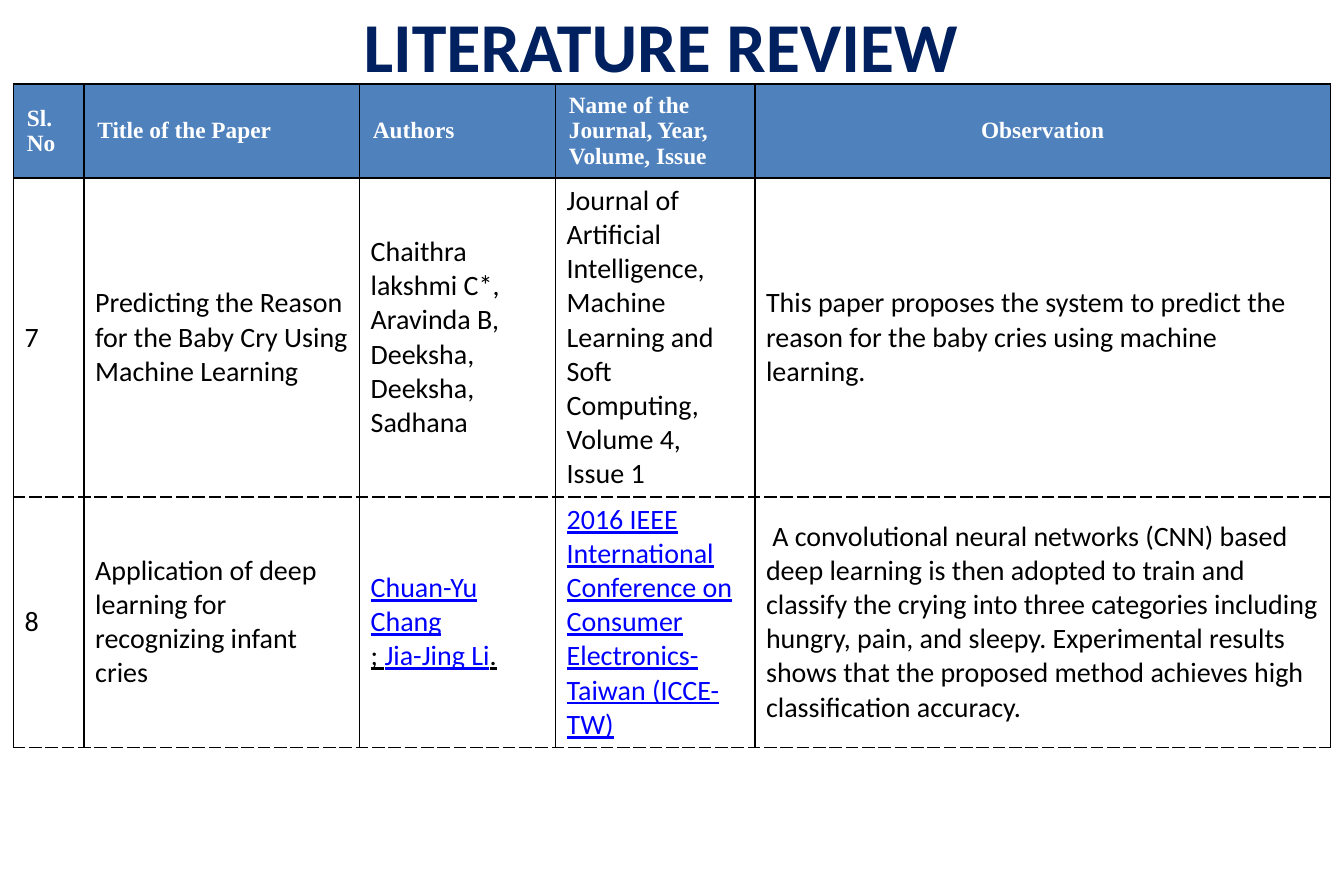
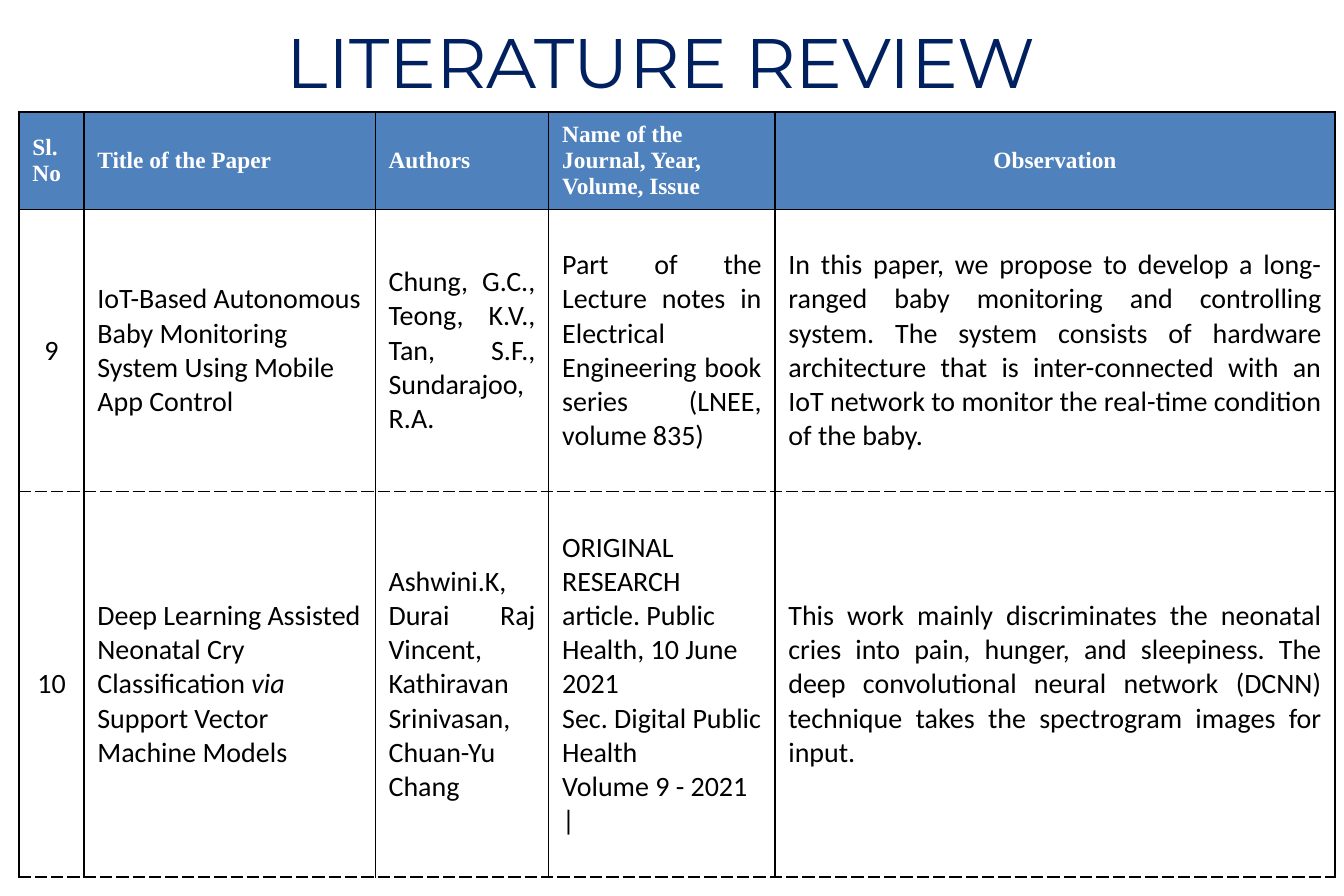
from lxml.etree import SubElement
from pptx import Presentation
from pptx.dml.color import RGBColor
from pptx.enum.text import MSO_ANCHOR, MSO_AUTO_SIZE, PP_ALIGN
from pptx.oxml import parse_xml
from pptx.oxml.ns import nsdecls, qn
from pptx.util import Inches, Pt

NAVY, BLUE, LINK, BLACK, WHITE = "002060", "4F81BD", "0000FF", "000000", "FFFFFF"
ALIGN = {"l": PP_ALIGN.LEFT, "c": PP_ALIGN.CENTER, "j": PP_ALIGN.JUSTIFY}
HEADER = ["Sl. No", "Title of the Paper", "Authors",
          "Name of the Journal, Year, Volume, Issue", "Observation"]
HEAD_FONT = {"name": "Times New Roman", "size": Pt(15), "bold": True, "color": WHITE}
BODY_FONT = {"name": "Calibri", "size": Pt(18), "bold": False, "color": BLACK}
LINKED = {"color": LINK, "underline": True}
UNDERLINED = {"underline": True}


def rgb(value):
    """Turn a hex string into a colour."""
    return RGBColor.from_string(value)


class Deck:
    """Holds the shared style and the current slide."""

    def __init__(self):
        """Start an empty presentation."""
        self.prs = Presentation()
        self.prs.slide_width, self.prs.slide_height = Inches(12), Inches(8)
        self.s = None

    def frame(self, tf, inset_x, inset_y):
        """Set insets and middle anchoring of a text holder."""
        values = {"margin_left": Inches(inset_x), "margin_right": Inches(inset_x),
                  "margin_top": Inches(inset_y), "margin_bottom": Inches(inset_y),
                  "vertical_anchor": MSO_ANCHOR.MIDDLE}
        for name, value in values.items():
            setattr(tf, name, value)

    def run(self, p, text, fmt):
        """Add formatted text, with a line break at each newline."""
        for i, line in enumerate(text.split("\n")):
            if i:
                p.add_line_break()
            r = p.add_run()
            r.text = line
            for name, value in fmt.items():
                if name == "color":
                    r.font.color.rgb = rgb(value)
                else:
                    setattr(r.font, name, value)

    def slide(self, title, top, font):
        """Add a slide with its title."""
        self.s = self.prs.slides.add_slide(self.prs.slide_layouts[5])
        sp = self.s.shapes.title
        sp.left, sp.top = Inches(0.5), Inches(top)
        sp.width, sp.height = Inches(10.8), Inches(1.46)
        tf = sp.text_frame
        tf.auto_size, tf.word_wrap = MSO_AUTO_SIZE.NONE, True
        self.frame(tf, 0.11, 0.06)
        p = tf.paragraphs[0]
        p.alignment = PP_ALIGN.CENTER
        self.run(p, title, {"size": Pt(45), "color": NAVY, **font})

    def borders(self, cell, dashes):
        """Draw the four cell borders, dashed on the named sides."""
        tcPr = cell._tc.get_or_add_tcPr()
        for i, side in enumerate("LRTB"):
            ln = parse_xml(f'<a:ln{side} {nsdecls("a")} w="12700"/>')
            fill = SubElement(ln, qn("a:solidFill"))
            SubElement(fill, qn("a:srgbClr")).set("val", BLACK)
            dash = "sysDash" if side in dashes else "solid"
            SubElement(ln, qn("a:prstDash")).set("val", dash)
            tcPr.insert(i, ln)

    def cell(self, cell, content, align, font, fill, inset, dashes):
        """Fill one cell with text or with paragraphs of runs."""
        cell.fill.solid()
        cell.fill.fore_color.rgb = rgb(fill)
        self.borders(cell, dashes)
        self.frame(cell, *inset)
        tf = cell.text_frame
        paragraphs = [[(content, {})]] if isinstance(content, str) else content
        for i, runs in enumerate(paragraphs):
            p = tf.add_paragraph() if i else tf.paragraphs[0]
            p.alignment = ALIGN[align]
            for text, fmt in runs:
                self.run(p, text, {**font, **fmt})

    def table(self, left, top, widths, heights, papers, aligns, inset):
        """Add a review table with its header row."""
        tbl = self.s.shapes.add_table(
            len(heights), len(widths), Inches(left), Inches(top),
            Inches(sum(widths)), Inches(sum(heights))).table
        tbl.horz_banding = False
        for col, width in zip(tbl.columns, widths):
            col.width = Inches(width)
        for row, height in zip(tbl.rows, heights):
            row.height = Inches(height)
        for i, content in enumerate(HEADER):
            self.cell(tbl.cell(0, i), content, "llllc"[i], HEAD_FONT, BLUE, (0.12, 0.07), "")
        for n, (paper, align) in enumerate(zip(papers, aligns), 1):
            for i, content in enumerate(paper):
                self.cell(tbl.cell(n, i), content, align[i], BODY_FONT, WHITE, inset,
                          "B" if n == 1 else "TB")


def main():
    """Build both review slides."""
    deck = Deck()
    deck.slide("LITERATURE REVIEW", -0.33, {"name": "Calibri", "bold": True})
    deck.table(0.12, 0.75, [0.63, 2.46, 1.75, 1.78, 5.14], [0.84, 2.84, 2.2], [
        ["7", "Predicting the Reason for the Baby Cry Using Machine Learning",
         "Chaithra lakshmi C*, Aravinda B, Deeksha, Deeksha, Sadhana",
         "Journal of Artificial Intelligence, Machine Learning and Soft Computing, "
         "Volume 4, Issue 1",
         "This paper proposes the system to predict the reason for the baby cries "
         "using machine learning."],
        ["8", "Application of deep learning for recognizing infant cries",
         [[("Chuan-Yu Chang", LINKED)],
          [("; ", UNDERLINED), ("Jia-Jing Li", LINKED), (".", UNDERLINED)]],
         [[("2016 IEEE International Conference on Consumer Electronics-Taiwan (ICCE-TW)",
            LINKED)]],
         " A convolutional neural networks (CNN) based deep learning is then adopted to "
         "train and classify the crying into three categories including hungry, pain, and "
         "sleepy. Experimental results shows that the proposed method achieves high "
         "classification accuracy."],
    ], ["lllll", "lllll"], (0.1, 0.05))

    deck.slide("LITERATURE REVIEW", -0.19, {"name": "Montserrat", "bold": False})
    deck.table(0.17, 1, [0.58, 2.6, 1.55, 2.02, 5], [0.87, 2.52, 3.44], [
        ["9", "IoT-Based Autonomous Baby Monitoring System Using Mobile App Control",
         "Chung, G.C., Teong, K.V., Tan, S.F., Sundarajoo, R.A. ",
         "Part of the Lecture notes in Electrical Engineering book series "
         "(LNEE, volume 835)",
         "In this paper, we propose to develop a long-ranged baby monitoring and "
         "controlling system. The system consists of hardware architecture that is "
         "inter-connected with an IoT network to monitor the real-time condition of "
         "the baby."],
        ["10",
         [[("Deep Learning Assisted Neonatal Cry Classification ", {}),
           ("via", {"italic": True}), (" Support Vector Machine Models", {})]],
         "Ashwini.K, Durai Raj Vincent, Kathiravan Srinivasan, Chuan-Yu Chang",
         "ORIGINAL RESEARCH article. Public Health, 10 June 2021\n"
         "Sec. Digital Public Health\nVolume 9 - 2021 |",
         "This work mainly discriminates the neonatal cries into pain, hunger, and "
         "sleepiness. The deep convolutional neural network (DCNN) technique takes the "
         "spectrogram images for input."],
    ], ["cljjj", "cljlj"], (0.12, 0.07))
    deck.prs.save("out.pptx")


if __name__ == "__main__":
    main()
